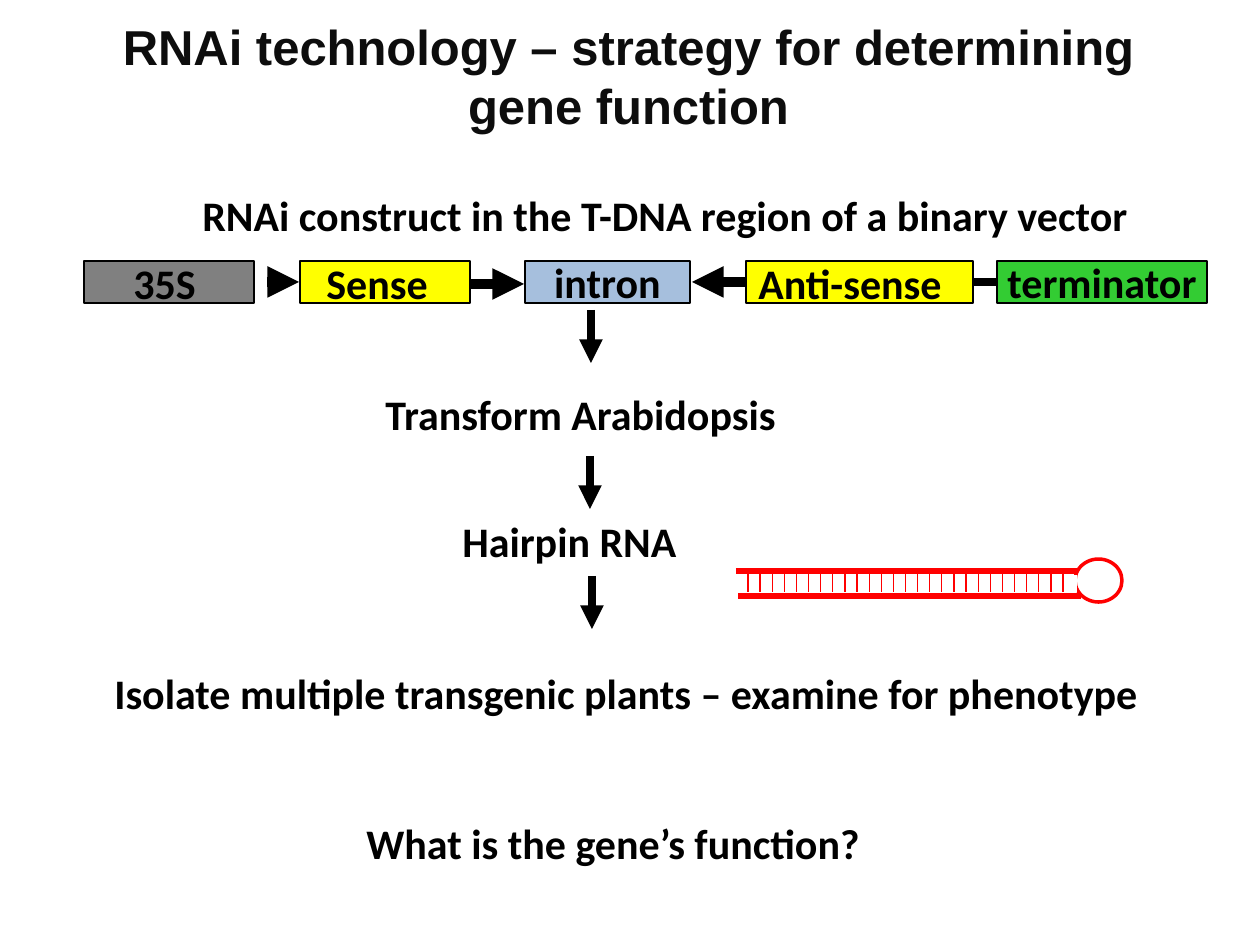
from lxml import etree
from pptx import Presentation
from pptx.dml.color import RGBColor
from pptx.enum.shapes import MSO_CONNECTOR, MSO_SHAPE
from pptx.enum.text import MSO_ANCHOR, PP_ALIGN
from pptx.oxml.ns import qn
from pptx.util import Emu, Pt

RECTANGLE, OVAL = MSO_SHAPE.RECTANGLE, MSO_SHAPE.OVAL
STRAIGHT = MSO_CONNECTOR.STRAIGHT
LEFT, CENTER = PP_ALIGN.LEFT, PP_ALIGN.CENTER
TOP, MIDDLE = MSO_ANCHOR.TOP, MSO_ANCHOR.MIDDLE
PX = 914400 / 126

THEME = {
    "title_font": "Arial", "title_size": 28, "title": "0D0D0D",
    "body_font": "Calibri", "body_size": 24, "ink": "000000",
    "promoter": "808080", "gene": "FFFF00", "intron": "4F81BD",
    "terminator": "33CC33", "rna": "FF0000", "paper": "FFFFFF",
}

prs = Presentation()
prs.slide_width, prs.slide_height = Emu(int(1260 * PX)), Emu(int(945 * PX))
slide = prs.slides.add_slide(prs.slide_layouts[6])
shapes = slide.shapes


def write(text, box=None, shape=None, font="body_font", size="body_size",
          color="ink", align=LEFT, anchor=TOP, wrap=True):
    """Put bold text into the given shape, or into a new text box at box (px)."""
    if shape is None:
        shape = shapes.add_textbox(*[Emu(int(n * PX)) for n in box])
    frame = shape.text_frame
    frame.word_wrap = wrap
    frame.vertical_anchor = anchor
    paragraph = frame.paragraphs[0]
    paragraph.alignment = align
    run = paragraph.add_run()
    run.text = text
    run.font.name = THEME[font]
    run.font.size = Pt(THEME[size])
    run.font.bold = True
    run.font.color.rgb = RGBColor.from_string(THEME[color])


def draw_line(x1, y1, x2, y2, width, color="ink", arrow=False):
    line = shapes.add_connector(STRAIGHT, *[Emu(int(n * PX)) for n in (x1, y1, x2, y2)])
    line.line.width = Pt(width)
    line.line.color.rgb = RGBColor.from_string(THEME[color])
    if arrow:
        etree.SubElement(line.line._get_or_add_ln(), qn("a:tailEnd"), type="triangle")
    etree.SubElement(line._element.spPr, qn("a:effectLst"))


write("RNAi technology – strategy for determining gene function", (57, 49, 1143, 53),
      font="title_font", size="title_size", color="title", align=CENTER, anchor=MIDDLE)

# RNAi construct: arrows lie partly under the segments
draw_line(454, 284, 524, 284, 6, arrow=True)
draw_line(762, 282, 692, 282, 6, arrow=True)

SEGMENTS = [  # left, width, colour, centred label
    (84, 170, "promoter", None),
    (300, 170, "gene", None),
    (525, 165, "intron", "intron"),
    (746, 227, "gene", None),
    (997, 210, "terminator", "terminator"),
]
for left, width, color, label in SEGMENTS:
    segment = shapes.add_shape(RECTANGLE, *[Emu(int(n * PX)) for n in (left, 261, width, 42)])
    segment.shadow.inherit = False
    segment.fill.solid()
    segment.fill.fore_color.rgb = RGBColor.from_string(THEME[color])
    segment.line.color.rgb = RGBColor.from_string(THEME["ink"])
    segment.line.width = Pt(0.75)
    if color == "intron":
        tint = segment._element.spPr.find(qn("a:solidFill"))[0]
        etree.SubElement(tint, qn("a:alpha"), val="50000")
    if label:
        write(label, shape=segment, align=CENTER, anchor=MIDDLE, wrap=False)

draw_line(267, 282, 299, 282, 6, arrow=True)
draw_line(973, 282, 997, 282, 4.5)
write("35S", (121, 251, 101, 63))
write("Sense", (314, 251, 128, 63), wrap=False)
write("Anti-sense", (746, 251, 238, 63))

# Steps from construct to phenotype
STEPS = [
    ("RNAi construct in the T-DNA region of a binary vector", 190, 183, 1033),
    ("Transform Arabidopsis", 373, 382, 534),
    ("Hairpin RNA", 450, 509, 284),
    ("Isolate multiple transgenic plants – examine for phenotype", 102, 661, 1074),
    ("What is the gene’s function?", 354, 811, 575),
]
for step, left, top, width in STEPS:
    write(step, (left, top, width, 63))
for x, top in [(591, 310), (590, 456), (592, 576)]:
    draw_line(x, top, x, top + 53, 4.5, arrow=True)

# Hairpin: two strands, evenly spaced base pairs, and a loop opened on its left
draw_line(1081, 596, 738, 596, 3, "rna")
draw_line(736, 571, 1077, 571, 3, "rna")
PAIRS, FIRST_PAIR, LAST_PAIR = 27, 748, 1063
for i in range(PAIRS):
    x = FIRST_PAIR + i * (LAST_PAIR - FIRST_PAIR) / (PAIRS - 1)
    draw_line(x, 571, x, 592, 0.75, "rna")

loop = shapes.add_shape(OVAL, *[Emu(int(n * PX)) for n in (1075, 559, 47, 43)])
loop.shadow.inherit = False
loop.fill.background()
loop.line.color.rgb = RGBColor.from_string(THEME["rna"])
loop.line.width = Pt(2)
draw_line(1072, 575, 1072, 592, 6.25, "paper")

prs.save("out.pptx")
